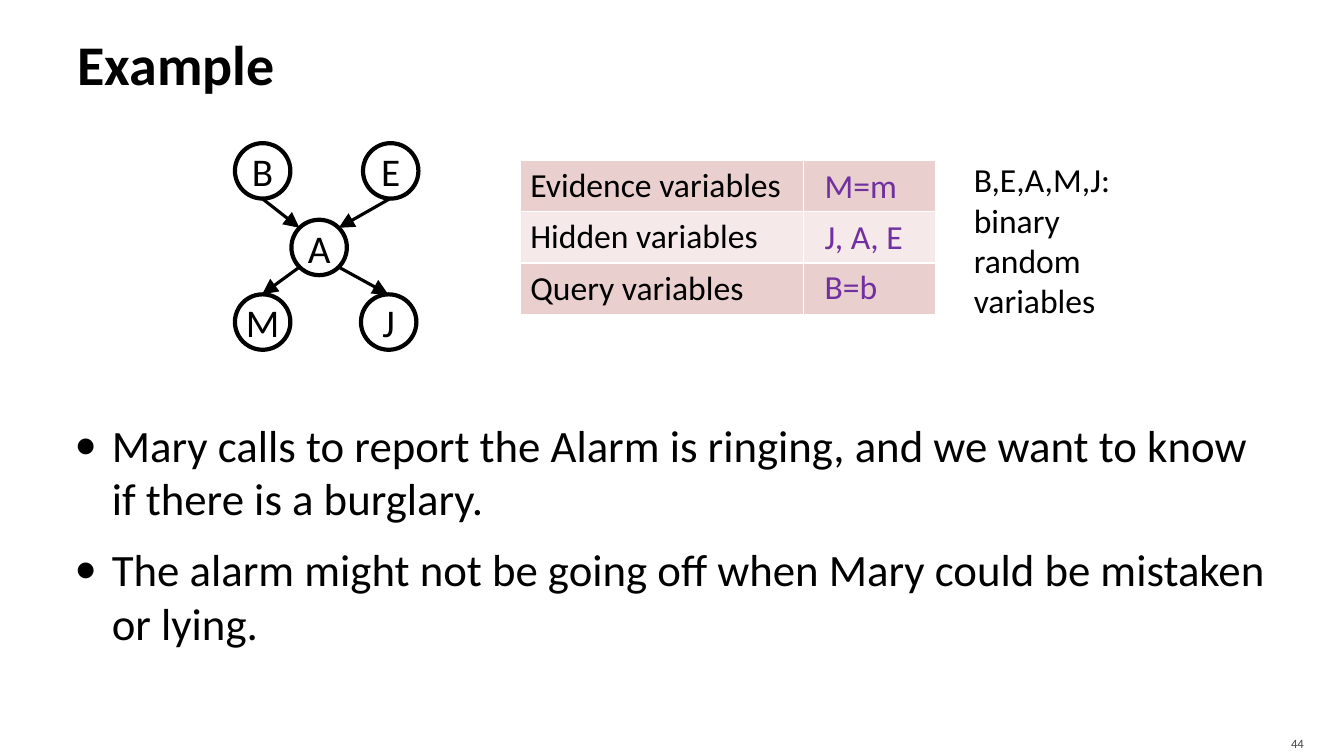
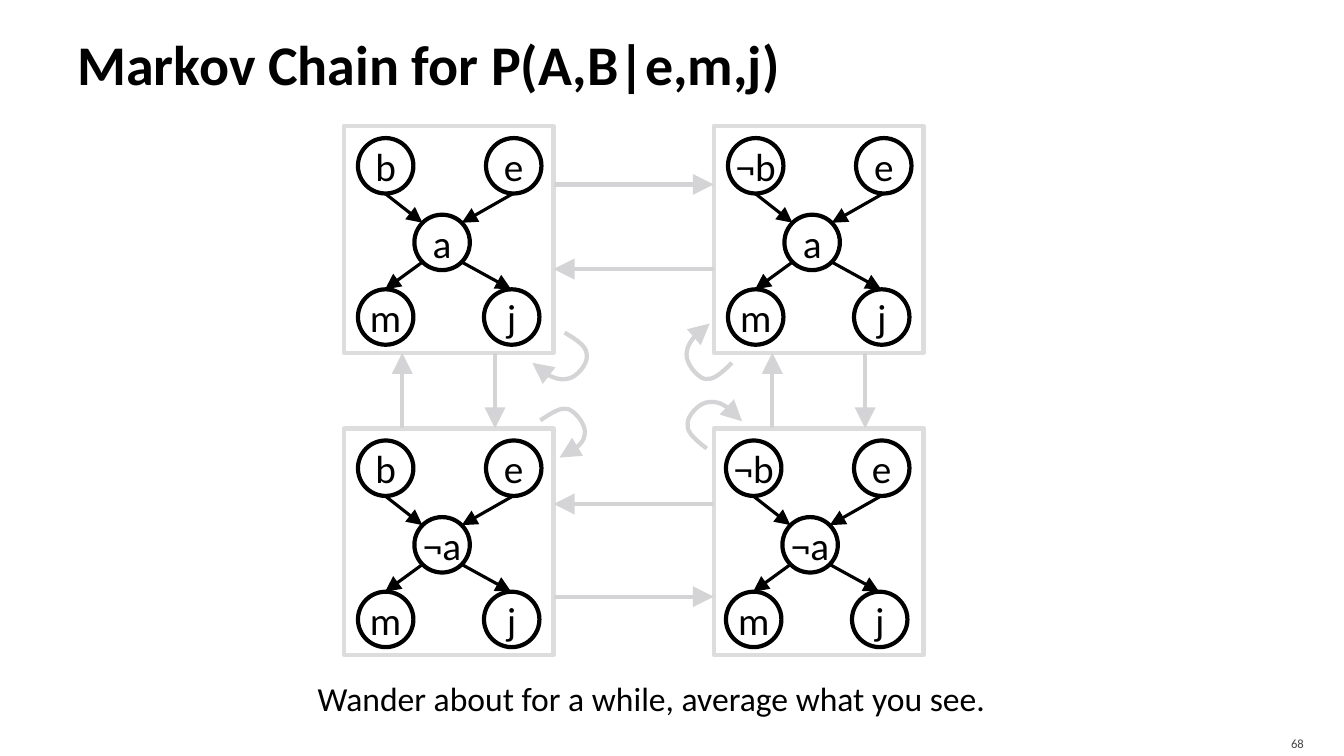
"""Build two slides on inference in the burglary alarm network."""
import itertools

import pptx
import pptx.dml.color
import pptx.enum.shapes
import pptx.enum.text
import pptx.oxml.ns
import pptx.util
from lxml import etree

PX = 9144
FONT = "Calibri"
BLACK, PURPLE, FOOTER = "000000", "7030A0", "454545"
PANEL, ARROW, WHITE = "DDDDDD", "D4D4D6", "FFFFFF"
BANDS = ("EACFCF", "F5E9E9")
ALIGN = pptx.enum.text.PP_ALIGN
ANCHOR = pptx.enum.text.MSO_ANCHOR
SHAPE = pptx.enum.shapes.MSO_SHAPE

NODE = 55
DIAGONAL = 8
PARENTS = ((0, 0), (127, 0))
CENTER = (56, 76)
CHILDREN = ((0, 150), (125, 150))

TABLE_LEFT, TABLE_TOP, ROW_HEIGHT = 516, 159, 51
COLUMN_WIDTHS = (281, 131)

EXAMPLE = {
    "title": "Example",
    "number": "44",
    "network": ((233, 142), "BEAMJ"),
    "table": (
        ("Evidence variables", "M=m"),
        ("Hidden variables", "J, A, E"),
        ("Query variables", "B=b"),
    ),
    "note": ("B,E,A,M,J:", "binary random variables"),
    "bullets": (
        "Mary calls to report the Alarm is ringing, and we want to know if there is a burglary.",
        "The alarm might not be going off when Mary could be mistaken or lying.",
    ),
}

PANEL_LEFTS, PANEL_TOPS = (341, 708), (125, 425)
PANEL_WIDTH, PANEL_HEIGHT = 208, 225
MARKOV = {
    "title": "Markov Chain for P(A,B|e,m,j)",
    "number": "68",
    "states": (
        (14, ("b", "e", "a", "m", "j")),
        (14, ("¬b", "e", "a", "m", "j")),
        (14, ("b", "e", "¬a", "m", "j")),
        (12, ("¬b", "e", "¬a", "m", "j")),
    ),
    "rightward": (183, 592),
    "leftward": (267, 500),
    "downward": 150,
    "upward": 58,
    "loops": (
        ((560, 330), (577, 340), (582, 345), (582, 353), (583, 361), (572, 375), (562, 376),
         (553, 377), (531, 369), (528, 360)),
        ((726, 360), (712, 374), (706, 377), (699, 376), (691, 374), (680, 360), (681, 351),
         (682, 342), (695, 322), (704, 321)),
        ((701, 445), (685, 433), (681, 427), (682, 420), (682, 412), (694, 399), (703, 399),
         (713, 398), (734, 409), (736, 418)),
        ((536, 417), (551, 407), (557, 404), (564, 406), (572, 409), (582, 423), (580, 431),
         (579, 438), (564, 455), (555, 454)),
    ),
    "caption": "Wander about for a while, average what you see.",
}


def px(*values):
    return [pptx.util.Emu(value * PX) for value in values]


def color(value):
    return pptx.dml.color.RGBColor.from_string(value)


def add_xml(parent, tag, **attributes):
    return etree.SubElement(parent, pptx.oxml.ns.qn(tag), attributes)


def style_line(shape, line_color, width, arrow=False):
    shape.line.color.rgb = color(line_color)
    shape.line.width = pptx.util.Pt(width)
    if arrow:
        add_xml(shape.element.xpath(".//a:ln")[0], "a:tailEnd",
                type="triangle", w="lg", len="lg")


def write(frame, lines, size, text_color=BLACK, align=ALIGN.LEFT, bold=False,
          anchor=ANCHOR.TOP, insets=(10, 5, 10, 5), wrap=True):
    frame.word_wrap = wrap
    frame.vertical_anchor = anchor
    (frame.margin_left, frame.margin_top,
     frame.margin_right, frame.margin_bottom) = px(*insets)
    for index, line in enumerate(lines):
        paragraph = frame.add_paragraph() if index else frame.paragraphs[0]
        paragraph.text = line
        paragraph.alignment = align
        paragraph.font.name = FONT
        paragraph.font.size = pptx.util.Pt(size)
        paragraph.font.bold = bold
        paragraph.font.color.rgb = color(text_color)


def add_text(slide, box, lines, size, **style):
    frame = slide.shapes.add_textbox(*px(*box)).text_frame
    write(frame, lines, size, **style)
    return frame


def add_outline(slide, preset, box, line_color):
    shape = slide.shapes.add_shape(preset, *px(*box))
    shape.shadow.inherit = False
    shape.fill.background()
    style_line(shape, line_color, 3)
    return shape


def add_arrow(slide, start, end, line_color, width):
    connector = slide.shapes.add_connector(
        pptx.enum.shapes.MSO_CONNECTOR.STRAIGHT, *px(*start, *end))
    style_line(connector, line_color, width, arrow=True)
    add_xml(connector.element.spPr, "a:effectLst")


def add_loop(slide, points):
    builder = slide.shapes.build_freeform(*points[0], scale=PX)
    builder.add_line_segments(points[1:], close=False)
    loop = builder.convert_to_shape()
    outline = loop.element.xpath(".//a:path")[0]
    segments = outline.findall(pptx.oxml.ns.qn("a:lnTo"))
    for first in range(0, len(segments), 3):
        curve = add_xml(outline, "a:cubicBezTo")
        for segment in segments[first:first + 3]:
            curve.append(segment[0])
            outline.remove(segment)
    loop.shadow.inherit = False
    loop.fill.background()
    style_line(loop, ARROW, 3, arrow=True)


def add_network(slide, origin, labels):
    left, top = origin
    for label, (x, y) in zip(labels, (*PARENTS, CENTER, *CHILDREN)):
        node = add_outline(slide, SHAPE.OVAL, (left + x, top + y, NODE, NODE), BLACK)
        write(node.text_frame, [label], 28, align=ALIGN.CENTER,
              anchor=ANCHOR.MIDDLE, insets=(0, 0, 0, 0), wrap=False)
    upper, lower = (top + CENTER[1] + inset for inset in (DIAGONAL, NODE - DIAGONAL))
    sides = [left + CENTER[0] + inset for inset in (DIAGONAL, NODE - DIAGONAL)]
    for side, parent, child in zip(sides, PARENTS, CHILDREN):
        parent_foot = (left + parent[0] + NODE // 2, top + parent[1] + NODE)
        child_head = (left + child[0] + NODE // 2, top + child[1])
        add_arrow(slide, parent_foot, (side, upper), BLACK, 2.25)
        add_arrow(slide, (side, lower), child_head, BLACK, 2.25)


def add_variable_table(slide, rows):
    table = slide.shapes.add_table(len(rows), 2, *px(
        TABLE_LEFT, TABLE_TOP, sum(COLUMN_WIDTHS), ROW_HEIGHT * len(rows))).table
    table.first_row = table.horz_banding = False
    for column, width in zip(table.columns, px(*COLUMN_WIDTHS)):
        column.width = width
    for row_index, (label, value) in enumerate(rows):
        write(table.cell(row_index, 0).text_frame, [label], 24)
        for cell in table.rows[row_index].cells:
            cell.margin_left, cell.margin_top, cell.margin_bottom = px(10, 5, 5)
            properties = cell._tc.get_or_add_tcPr()
            for edge in ("a:lnL", "a:lnR", "a:lnT", "a:lnB"):
                border = add_xml(properties, edge, w="12700")
                add_xml(add_xml(border, "a:solidFill"), "a:srgbClr", val=WHITE)
            cell.fill.solid()
            cell.fill.fore_color.rgb = color(BANDS[row_index % 2])
        value_box = (TABLE_LEFT + COLUMN_WIDTHS[0] + 11,
                     TABLE_TOP + row_index * (ROW_HEIGHT - 1), 104, 50)
        add_text(slide, value_box, [value], 24, text_color=PURPLE)


def add_bullets(slide, lines):
    frame = add_text(slide, (67, 404, 1200, 312), lines, 32, insets=(6, 10, 10, 5))
    for paragraph in frame.paragraphs:
        paragraph.space_before = paragraph.space_after = pptx.util.Pt(6)
        properties = paragraph._p.get_or_add_pPr()
        properties.set("marL", str(38 * PX))
        properties.set("indent", str(-37 * PX))
        bullet_font = etree.Element(pptx.oxml.ns.qn("a:buFont"), typeface=FONT)
        bullet = etree.Element(pptx.oxml.ns.qn("a:buChar"), char="•")
        properties.find(pptx.oxml.ns.qn("a:spcAft")).addnext(bullet_font)
        bullet_font.addnext(bullet)


def new_slide(presentation, content):
    slide = presentation.slides.add_slide(presentation.slide_layouts[6])
    add_text(slide, (67, 9, 1200, 108), [content["title"]], 40, bold=True,
             anchor=ANCHOR.MIDDLE, insets=(10, 5, 5, 5))
    add_text(slide, (1196, 720, 107, 30), [content["number"]], 9, text_color=FOOTER,
             align=ALIGN.RIGHT, anchor=ANCHOR.MIDDLE, insets=(10, 5, 10, 0))
    return slide


def build_example(presentation):
    slide = new_slide(presentation, EXAMPLE)
    add_bullets(slide, EXAMPLE["bullets"])
    add_network(slide, *EXAMPLE["network"])
    add_variable_table(slide, EXAMPLE["table"])
    add_text(slide, (956, 153, 168, 172), EXAMPLE["note"], 24)


def build_markov(presentation):
    slide = new_slide(presentation, MARKOV)
    corners = itertools.product(PANEL_TOPS, PANEL_LEFTS)
    for (top, left), (inset, labels) in zip(corners, MARKOV["states"]):
        add_network(slide, (left + inset, top + 12), labels)
        add_outline(slide, SHAPE.RECTANGLE, (left, top, PANEL_WIDTH, PANEL_HEIGHT), PANEL)
    gap_left, gap_right = PANEL_LEFTS[0] + PANEL_WIDTH, PANEL_LEFTS[1]
    gap_top, gap_bottom = PANEL_TOPS[0] + PANEL_HEIGHT, PANEL_TOPS[1]
    for y in MARKOV["rightward"]:
        add_arrow(slide, (gap_left, y), (gap_right, y), ARROW, 3)
    for y in MARKOV["leftward"]:
        add_arrow(slide, (gap_right, y), (gap_left, y), ARROW, 3)
    for left in PANEL_LEFTS:
        down, up = left + MARKOV["downward"], left + MARKOV["upward"]
        add_arrow(slide, (down, gap_top), (down, gap_bottom), ARROW, 3)
        add_arrow(slide, (up, gap_bottom), (up, gap_top), ARROW, 3)
    for points in MARKOV["loops"]:
        add_loop(slide, points)
    add_text(slide, (292, 668, 708, 50), [MARKOV["caption"]], 24, align=ALIGN.CENTER)


def main():
    presentation = pptx.Presentation()
    presentation.slide_width, presentation.slide_height = px(1333, 750)
    build_example(presentation)
    build_markov(presentation)
    presentation.save("out.pptx")


if __name__ == "__main__":
    main()
